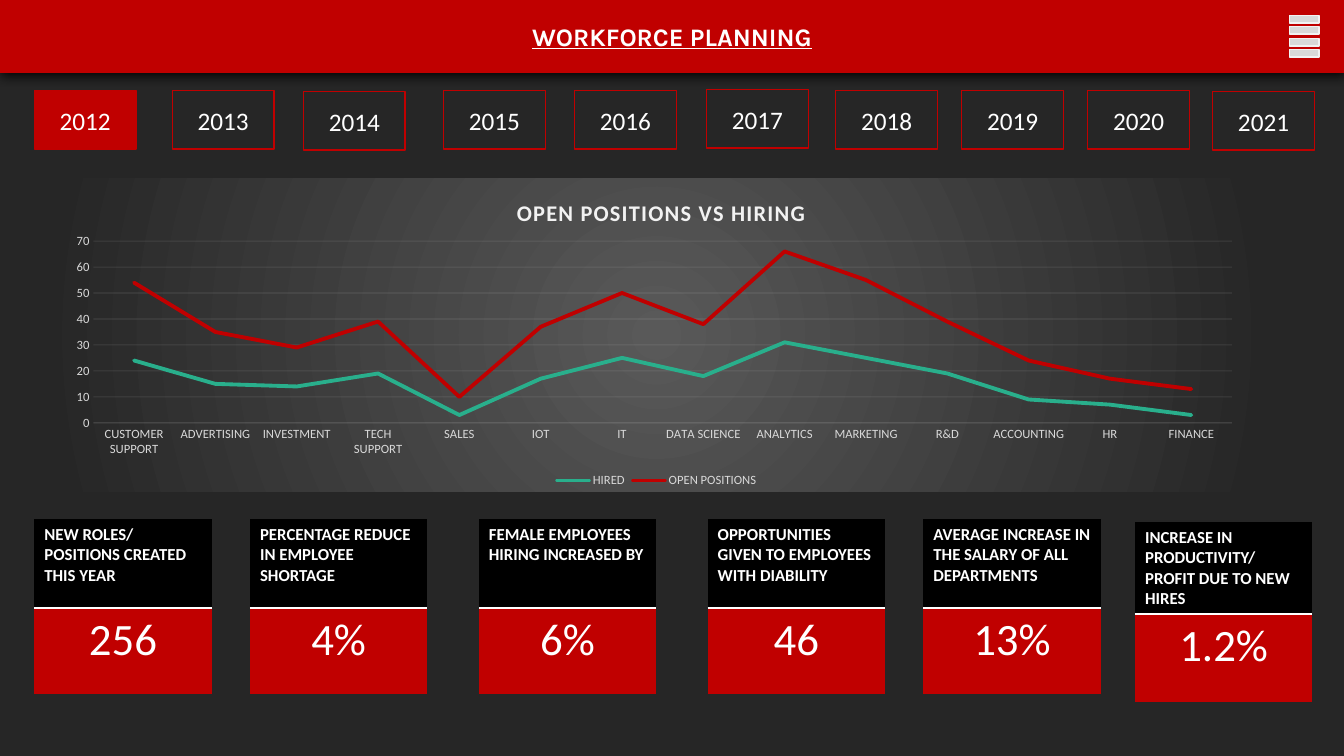
from dataclasses import dataclass

from lxml import etree
from pptx import Presentation
from pptx.chart.data import CategoryChartData
from pptx.dml.color import RGBColor
from pptx.enum.chart import XL_CHART_TYPE, XL_LEGEND_POSITION, XL_TICK_MARK
from pptx.enum.shapes import MSO_SHAPE
from pptx.enum.text import MSO_ANCHOR, MSO_AUTO_SIZE, PP_ALIGN
from pptx.oxml import parse_xml
from pptx.oxml.ns import nsdecls, qn
from pptx.util import Inches, Pt

RECTANGLE, EQUAL_SIGN = MSO_SHAPE.RECTANGLE, MSO_SHAPE.MATH_EQUAL
LEFT, CENTER = PP_ALIGN.LEFT, PP_ALIGN.CENTER
MIDDLE = MSO_ANCHOR.MIDDLE
NO_AUTO_SIZE = MSO_AUTO_SIZE.NONE
NO_TICK = XL_TICK_MARK.NONE
STACKED_LINE = XL_CHART_TYPE.LINE_STACKED
LEGEND_BELOW = XL_LEGEND_POSITION.BOTTOM
CELL = Inches(0.1)  # one column or row of the page grid
PLAIN_TABLE = "{2D5ABB26-0587-4C30-8999-92F81FD0307C}"


@dataclass(frozen=True)
class Theme:
    page: str = "262626"
    red: str = "C00000"
    green: str = "29AF8C"
    black: str = "000000"
    white: str = "FFFFFF"
    pale: str = "F2F2F2"
    silver: str = "D9D9D9"
    glow: str = "595959"
    heading_font: str = "Karla"
    font: str = "Calibri"
    heading: int = 18
    chart_title: int = 16
    chart_text: int = 10
    caption: int = 12
    figure: int = 32
    axis: int = 9


@dataclass(frozen=True)
class Box:
    """A region in grid columns and rows."""
    left: float
    top: float
    width: float
    height: float

    def inner(self, left, top, width, height):
        return Box(self.left + left, self.top + top, width, height)

    def emu(self):
        return [round(n * CELL) for n in (self.left, self.top, self.width, self.height)]


THEME = Theme()
PAGE = Box(0, 0, 133.33, 75)

YEAR_COLUMNS = [3.4, 17.1, 30.1, 44, 57, 70.1, 82.9, 95.4, 107.9, 120.3]
YEAR_DROPS = {2014: 0.1, 2017: -0.1, 2021: 0.1}
DEPARTMENTS = ["CUSTOMER SUPPORT", "ADVERTISING", "INVESTMENT", "TECH SUPPORT", "SALES",
               "IOT", "IT", "DATA SCIENCE", "ANALYTICS", "MARKETING", "R&D",
               "ACCOUNTING", "HR", "FINANCE"]
SERIES = [
    ("HIRED", THEME.green, [24, 15, 14, 19, 3, 17, 25, 18, 31, 25, 19, 9, 7, 3]),
    ("OPEN POSITIONS", THEME.red, [30, 20, 15, 20, 7, 20, 25, 20, 35, 30, 20, 15, 10, 10]),
]
# column, drop, row heights, caption, figure
CARDS = [
    (3.4, 0, (8.8, 8.6), "NEW ROLES/ POSITIONS CREATED THIS YEAR", "256"),
    (24.8, 0, (8.8, 8.6), "PERCENTAGE REDUCE IN EMPLOYEE SHORTAGE", "4%"),
    (47.5, 0, (8.8, 8.6), "FEMALE EMPLOYEES HIRING INCREASED BY", "6%"),
    (70.2, 0, (8.8, 8.6), "OPPORTUNITIES GIVEN TO EMPLOYEES WITH DIABILITY", "46"),
    (91.6, 0, (8.8, 8.6), "AVERAGE INCREASE IN THE SALARY OF ALL DEPARTMENTS", "13%"),
    (112.6, 0.3, (8.7, 8.7), "INCREASE IN PRODUCTIVITY/ PROFIT DUE TO NEW HIRES", "1.2%"),
]


def rgb(color):
    return RGBColor.from_string(color)


def format_font(font, size, color=THEME.white, name=THEME.font, bold=False, underline=None):
    font.size, font.name, font.bold, font.underline = Pt(size), name, bold, underline
    font.color.rgb = rgb(color)


def write_text(frame, text, align=CENTER, **font):
    para = frame.paragraphs[0]
    para.alignment = align
    span = para.add_run()
    span.text = text
    format_font(span.font, **font)
    return span


def paint(shape, fill, line):
    if fill:
        shape.fill.solid()
        shape.fill.fore_color.rgb = rgb(fill)
    else:
        shape.fill.background()
    shape.line.color.rgb = rgb(line)
    shape.line.width = Pt(1)


def add_block(page, kind, box, fill, line):
    shape = page.shapes.add_shape(kind, *box.emu())
    shape.shadow.inherit = False
    paint(shape, fill, line)
    return shape


def add_header(page, box):
    # Title bar with a soft shadow below
    title = page.shapes.title
    title.left, title.top, title.width, title.height = box.emu()
    paint(title, THEME.red, THEME.red)
    title._element.spPr.append(parse_xml(
        f'<a:effectLst {nsdecls("a")}><a:outerShdw blurRad="{Pt(8.5)}" dist="{Pt(1)}" '
        f'dir="5400000" algn="t" rotWithShape="0"><a:srgbClr val="{THEME.black}"/>'
        '</a:outerShdw></a:effectLst>'))
    frame = title.text_frame
    frame.word_wrap, frame.auto_size, frame.vertical_anchor = True, NO_AUTO_SIZE, MIDDLE
    write_text(frame, "WORKFORCE PLANNING", size=THEME.heading,
               name=THEME.heading_font, bold=True, underline=True)
    # Menu icon
    for row in (0.9, 3.2):
        add_block(page, EQUAL_SIGN, box.inner(127.4, row, 4, 3.1), THEME.silver, THEME.pale)


def add_years(page, box):
    for year, column in enumerate(YEAR_COLUMNS, start=2012):
        place = box.inner(column, YEAR_DROPS.get(year, 0), 10.1, box.height)
        fill = THEME.red if year == 2012 else None
        tab = add_block(page, RECTANGLE, place, fill, THEME.red)
        tab.text_frame.vertical_anchor = MIDDLE
        write_text(tab.text_frame, str(year), size=THEME.heading)


def set_faint_line(line):
    line.color.rgb = rgb(THEME.pale)
    line.width = Pt(0.75)
    color = line._ln.find(".//" + qn("a:srgbClr"))
    etree.SubElement(color, qn("a:alpha")).set("val", "10000")


def set_layout(owner, position, **shares):
    for old in owner.findall(qn("c:layout")):
        owner.remove(old)
    rows = "".join(f'<c:{name} val="{value}"/>' for name, value in shares.items())
    owner.insert(position, parse_xml(
        f'<c:layout {nsdecls("c")}><c:manualLayout>{rows}</c:manualLayout></c:layout>'))


def add_hiring_chart(page, box):
    data = CategoryChartData()
    data.categories = DEPARTMENTS
    for name, _, values in SERIES:
        data.add_series(name, values)
    chart = page.shapes.add_chart(STACKED_LINE, *box.emu(), data).chart
    format_font(chart.font, THEME.chart_text)

    # Title and legend
    heading = write_text(chart.chart_title.text_frame, "OPEN POSITIONS VS HIRING",
                         size=THEME.chart_title, color=THEME.pale, bold=True)
    heading.font._element.set("spc", "100")
    set_layout(chart.chart_title._element, 1, xMode="edge", yMode="edge", x=0.38, y=0.05)
    chart.has_legend = True
    chart.legend.position = LEGEND_BELOW
    chart.legend.include_in_layout = False
    format_font(chart.legend.font, THEME.axis, THEME.silver)

    # Axes
    for axis in (chart.category_axis, chart.value_axis):
        axis.major_tick_mark = axis.minor_tick_mark = NO_TICK
        format_font(axis.tick_labels.font, THEME.axis, THEME.silver)
    set_faint_line(chart.category_axis.format.line)
    scale = chart.value_axis
    scale.minimum_scale, scale.maximum_scale, scale.major_unit = 0, 70, 10
    scale.format.line.fill.background()
    set_faint_line(scale.major_gridlines.format.line)

    # Series
    chart.plots[0].vary_by_categories = False
    for series, (_, color, _) in zip(chart.plots[0].series, SERIES):
        series.smooth = False
        series.format.line.color.rgb = rgb(color)
        series.format.line.width = Pt(2.75)
        series.format.line._ln.set("cap", "rnd")

    # Plot position and radial background
    chart_body = chart._chartSpace.chart
    set_layout(chart_body.plotArea, 0, layoutTarget="inner", xMode="edge", yMode="edge",
               x=0.03, y=0.2, w=0.95, h=0.58)
    chart_body.addnext(parse_xml(
        f'<c:spPr {nsdecls("c", "a")}><a:gradFill><a:gsLst>'
        f'<a:gs pos="0"><a:srgbClr val="{THEME.glow}"/></a:gs>'
        f'<a:gs pos="100000"><a:srgbClr val="{THEME.page}"/></a:gs></a:gsLst>'
        '<a:path path="circle"><a:fillToRect l="50000" t="50000" r="50000" b="50000"/></a:path>'
        '</a:gradFill><a:ln><a:noFill/></a:ln></c:spPr>'))


def add_card(page, box, heights, caption, figure):
    table = page.shapes.add_table(2, 1, *box.emu()).table
    table.first_row = table.horz_banding = False
    table._tbl.tblPr.find(qn("a:tableStyleId")).text = PLAIN_TABLE
    for row, height in zip(table.rows, heights):
        row.height = round(height * CELL)
    top, bottom = table.cell(0, 0), table.cell(1, 0)
    for cell, color in ((top, THEME.black), (bottom, THEME.red)):
        cell.fill.solid()
        cell.fill.fore_color.rgb = rgb(color)
    top._tc.get_or_add_tcPr().insert(0, parse_xml(
        f'<a:lnB {nsdecls("a")} w="{Pt(2)}"><a:solidFill><a:srgbClr val="{THEME.white}"/>'
        '</a:solidFill></a:lnB>'))
    write_text(top.text_frame, caption, align=LEFT, size=THEME.caption, bold=True)
    write_text(bottom.text_frame, figure, size=THEME.figure)


def add_cards(page, box):
    for column, drop, heights, caption, figure in CARDS:
        add_card(page, box.inner(column, drop, 17.6, sum(heights)), heights, caption, figure)


def main():
    deck = Presentation()
    deck.slide_width, deck.slide_height = PAGE.emu()[2:]
    page = deck.slides.add_slide(deck.slide_layouts[5])
    page.background.fill.solid()
    page.background.fill.fore_color.rgb = rgb(THEME.page)
    add_header(page, PAGE.inner(0, 0, PAGE.width, 7.2))
    add_years(page, PAGE.inner(0, 9, PAGE.width, 5.8))
    add_hiring_chart(page, PAGE.inner(5.7, 17.7, 118.9, 31.1))
    add_cards(page, PAGE.inner(0, 51.5, PAGE.width, 17.7))
    deck.save("out.pptx")


if __name__ == "__main__":
    main()
